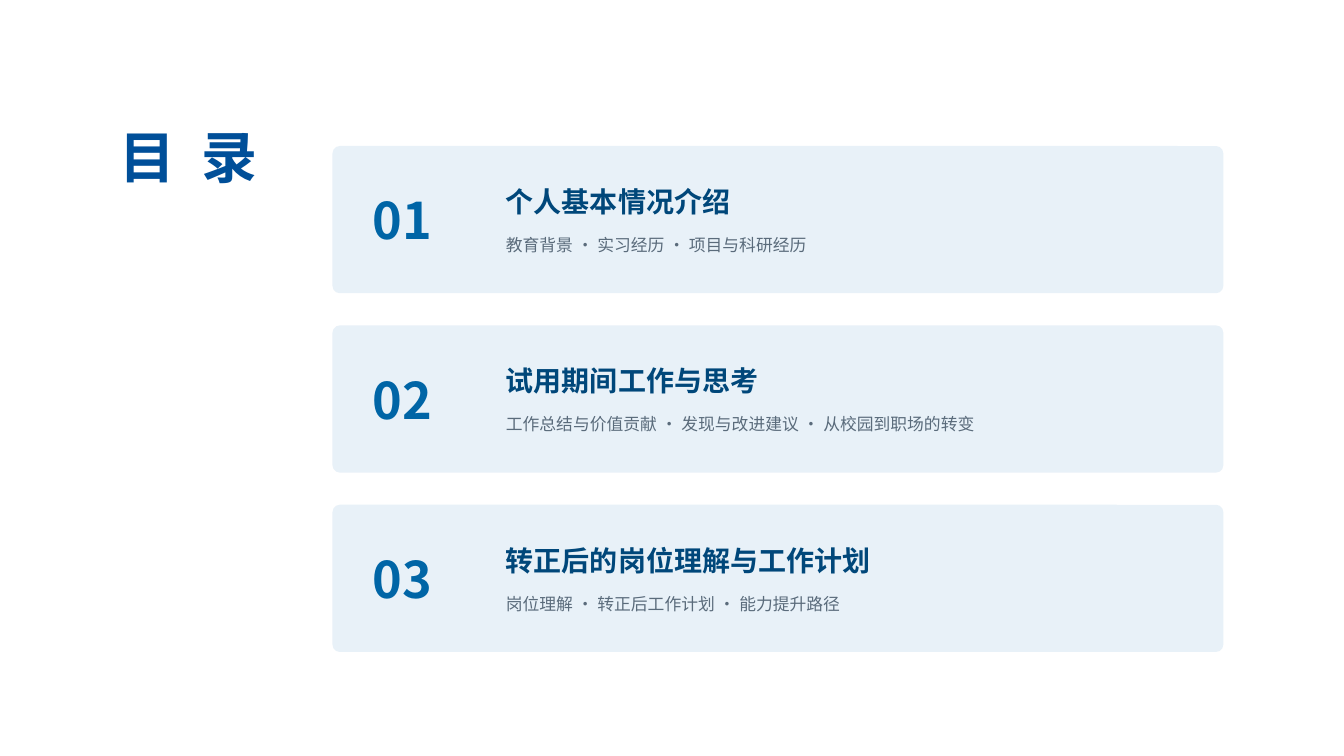
from lxml import etree
from pptx import Presentation
from pptx.dml.color import RGBColor
from pptx.enum.shapes import MSO_SHAPE
from pptx.enum.text import MSO_ANCHOR, MSO_AUTO_SIZE, PP_ALIGN
from pptx.oxml.ns import qn
from pptx.util import Cm, Pt

ROUNDED = MSO_SHAPE.ROUNDED_RECTANGLE
TOP, MIDDLE = MSO_ANCHOR.TOP, MSO_ANCHOR.MIDDLE
LEFT = PP_ALIGN.LEFT
FIT_SHAPE = MSO_AUTO_SIZE.SHAPE_TO_FIT_TEXT

FONT = "Noto Sans CJK SC"
COLORS = {
    "title": "004F99",
    "card": "E8F1F8",
    "number": "0065A6",
    "heading": "00477A",
    "details": "5A6B7B",
}
CHAPTERS = [
    ("个人基本情况介绍", "教育背景 · 实习经历 · 项目与科研经历"),
    ("试用期间工作与思考", "工作总结与价值贡献 · 发现与改进建议 · 从校园到职场的转变"),
    ("转正后的岗位理解与工作计划", "岗位理解 · 转正后工作计划 · 能力提升路径"),
]
FIRST_CARD_TOP = 3.68
CARD_PITCH = 4.52


def write_text(box, text, size, color, bold):
    """Put one formatted line of text into a shape."""
    para = box.text_frame.paragraphs[0]
    para.text = text
    para.alignment = LEFT
    for span in para.runs:
        span.font.size = Pt(size)
        span.font.bold = bold
        span.font.name = FONT
        span.font.color.rgb = RGBColor.from_string(COLORS[color])
        properties = span._r.get_or_add_rPr()
        etree.SubElement(properties, qn("a:ea"), typeface=FONT)


def set_title(page, text):
    """Place the page title with letter-spaced characters."""
    title = page.shapes.title
    title.left, title.top = Cm(2.77), Cm(2.95)
    title.width, title.height = Cm(4.22), Cm(1.96)
    write_text(title, text, 40, "title", True)
    frame = title.text_frame
    frame.word_wrap = False
    frame.auto_size = FIT_SHAPE
    frame.vertical_anchor = TOP
    for span in frame.paragraphs[0].runs:
        span._r.get_or_add_rPr().set("spc", "450")


def add_label(page, left, top, width, height, text, size, color, bold=True):
    """Add a text box without margins, centred vertically."""
    box = page.shapes.add_textbox(Cm(left), Cm(top), Cm(width), Cm(height))
    frame = box.text_frame
    frame.word_wrap = True
    frame.vertical_anchor = MIDDLE
    frame.margin_left = frame.margin_right = 0
    frame.margin_top = frame.margin_bottom = 0
    write_text(box, text, size, color, bold)


def add_card(page, top):
    """Add the rounded background of one chapter."""
    card = page.shapes.add_shape(ROUNDED, Cm(8.38), Cm(top), Cm(22.45), Cm(3.71))
    card.adjustments[0] = 0.05
    card.shadow.inherit = False
    card.fill.solid()
    card.fill.fore_color.rgb = RGBColor.from_string(COLORS["card"])
    card.line.fill.background()


def add_chapter(page, top, number, heading, details):
    """Add a card with its number, heading and details."""
    add_card(page, top)
    add_label(page, 9.4, top + 1.07, 2.79, 1.57, f"{number:02d}", 36, "number")
    add_label(page, 12.75, top + 0.86, 17.12, 1.07, heading, 20, "heading")
    add_label(page, 12.75, top + 2.08, 17.12, 0.81, details, 12, "details", False)


def main():
    """Build the contents page and save the deck."""
    deck = Presentation()
    deck.slide_width, deck.slide_height = Cm(33.87), Cm(19.05)
    page = deck.slides.add_slide(deck.slide_layouts.get_by_name("Title Only"))
    set_title(page, "目 录")
    for index, (heading, details) in enumerate(CHAPTERS):
        top = FIRST_CARD_TOP + index * CARD_PITCH
        add_chapter(page, top, index + 1, heading, details)
    deck.save("out.pptx")


if __name__ == "__main__":
    main()
